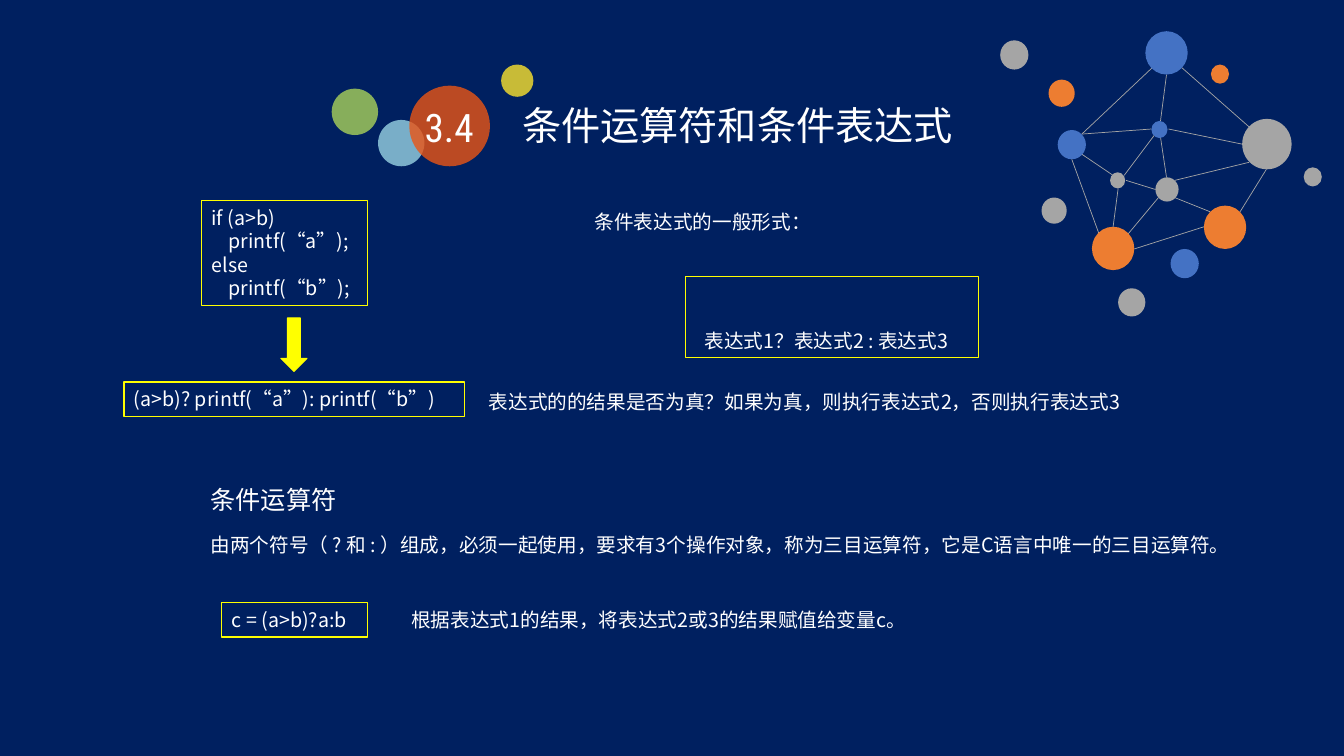
import pptx
import pptx.util
import pptx.dml.color
import pptx.enum.shapes
import pptx.enum.text
import lxml.etree

INK = {"back": "002060", "text": "FFFFFF", "edge": "FFFF00", "blue": "4472C4",
       "orange": "ED7D31", "gray": "A5A5A5", "lemon": "FBE22D",
       "green": "A9D25A", "sky": "98D2E3", "red": "EA5514"}
SANS = "Noto Sans CJK SC"

NOTES = [
    ("条件运算符和条件表达式", 5.08, 0.96, 4.52, 0.57, 28),
    ("条件表达式的一般形式：", 5.8, 2.03, 2.36, 0.34, 14),
    ("表达式的的结果是否为真？如果为真，则执行表达式2，否则执行表达式3",
     4.75, 3.82, 6.66, 0.34, 14),
    ("由两个符号（ ? 和 : ）组成，必须一起使用，要求有3个操作对象，称为三目运算符，它是C语言中唯一的三目运算符。",
     1.99, 5.24, 10.41, 0.34, 14),
    ("条件运算符", 1.99, 4.76, 2.1, 0.4, 18),
    ("根据表达式1的结果，将表达式2或3的结果赋值给变量c。",
     3.98, 5.98, 5.16, 0.34, 14),
]
CODE = [
    (["if (a>b)", "printf(“a”);", "else", "printf(“b”);"], 2, 1.99, 1.65, 1.04),
    (["(a>b)? printf(“a”): printf(“b”)"], 1.23, 3.79, 3.38, 0.34),
    (["c = (a>b)?a:b"], 2.2, 5.98, 1.45, 0.34),
]
FORM = (["表达式1？表达式2 : 表达式3"], 6.8, 2.74, 2.91, 0.81)
BADGE = [("lemon", 4.97, 0.64, 0.32), ("green", 3.29, 0.88, 0.46),
         ("sky", 3.75, 1.19, 0.46), ("red", 4.06, 0.85, 0.8)]
NODES = [
    ("blue", 11.36, 0.31, 0.42), ("orange", 10.83, 2.25, 0.42),
    ("gray", 11.46, 1.76, 0.23), ("blue", 10.49, 1.29, 0.28),
    ("orange", 12.01, 0.64, 0.18), ("gray", 12.32, 1.18, 0.49),
    ("blue", 11.42, 1.2, 0.16), ("orange", 11.94, 2.04, 0.42),
    ("gray", 11.01, 1.71, 0.15), ("blue", 11.61, 2.47, 0.28),
    ("orange", 10.4, 0.79, 0.26), ("gray", 9.92, 0.4, 0.28),
    ("gray", 11.09, 2.86, 0.27), ("gray", 10.33, 1.96, 0.25),
    ("gray", 12.93, 1.66, 0.18),
]
LINKS = [
    (11.72, 0.67, 12.39, 1.26), (11.65, 1.79, 12.39, 1.61),
    (12.3, 2.1, 12.56, 1.68), (11.19, 2.32, 11.49, 1.96),
    (10.73, 1.33, 11.43, 0.67), (11.51, 1.2, 11.57, 0.74),
    (12.32, 1.43, 11.59, 1.28), (11.51, 1.36, 11.57, 1.76),
    (11.65, 1.96, 12, 2.1), (10.73, 1.33, 11.42, 1.28),
    (10.63, 1.58, 10.9, 2.32), (10.73, 1.53, 11.04, 1.74),
    (11.15, 1.74, 11.45, 1.34), (11.17, 1.79, 11.46, 1.88),
    (11.04, 2.25, 11.09, 1.87), (11.25, 2.47, 11.94, 2.25),
]

Inches = pptx.util.Inches
Pt = pptx.util.Pt
KIND = pptx.enum.shapes.MSO_SHAPE
ALIGN = pptx.enum.text.PP_ALIGN
ANCHOR = pptx.enum.text.MSO_ANCHOR
tag = pptx.oxml.ns.qn

deck = pptx.Presentation()
deck.slide_width, deck.slide_height = Inches(13.33), Inches(7.5)
slide = deck.slides.add_slide(deck.slide_layouts[6])
items = slide.shapes


def tint(name):
    return pptx.dml.color.RGBColor.from_string(INK[name])


def paint(fill, name):
    fill.solid()
    fill.fore_color.rgb = tint(name)


def write(shape, lines, size, font=SANS, align=ALIGN.LEFT):
    frame = shape.text_frame
    frame.word_wrap = True
    frame.vertical_anchor = ANCHOR.TOP
    frame.text = "\n".join(lines)
    for para in frame.paragraphs:
        para.alignment = align
        para.line_spacing = Pt(size * 1.2)
        para.font.size = Pt(size)
        para.font.name = font
        para.font.color.rgb = tint("text")
        for run in para.runs:
            east = lxml.etree.SubElement(run.font._element, tag("a:ea"))
            east.set("typeface", font)
    return frame


def draw(kind, x, y, w, h, fill=None, edge=None):
    shape = items.add_shape(kind, *map(Inches, (x, y, w, h)))
    shape.shadow.inherit = False
    if fill:
        paint(shape.fill, fill)
    else:
        shape.fill.background()
    if edge:
        shape.line.color.rgb = tint(edge)
        shape.line.width = Pt(0.75)
    else:
        shape.line.fill.background()
    return shape


def label(lines, x, y, w, h, size, **style):
    box = items.add_textbox(*map(Inches, (x, y, w, h)))
    return write(box, lines, size, **style)


def panel(lines, *place):
    return write(draw(KIND.RECTANGLE, *place, edge="edge"), lines, 14)


paint(slide.background.fill, "back")

for name, x, y, size in BADGE:
    dot = draw(KIND.OVAL, x, y, size, size, name)
    shade = dot.fill._xPr.find(".//" + tag("a:srgbClr"))
    lxml.etree.SubElement(shade, tag("a:alpha")).set("val", "80000")
mark = label(["3.4"], 4.17, 1.03, 0.57, 0.47, 28,
             font="Roboto Condensed", align=ALIGN.CENTER)
mark.margin_left = mark.margin_right = mark.margin_top = mark.margin_bottom = 0

for text, *place in NOTES:
    label([text], *place)
for lines, *place in CODE:
    frame = panel(lines, *place)
    for para in frame.paragraphs[1::2]:
        para._p.get_or_add_pPr().set("marL", str(Inches(0.17)))

lines, *place = FORM
frame = panel(lines, *place)
frame.vertical_anchor = ANCHOR.BOTTOM
frame.paragraphs[0]._p.get_or_add_pPr().set("indent", str(Inches(0.09)))

draw(KIND.RIGHT_ARROW, 2.65, 3.29, 0.53, 0.26, "edge", "edge").rotation = 90

for x1, y1, x2, y2 in LINKS:
    link = items.add_connector(pptx.enum.shapes.MSO_CONNECTOR.STRAIGHT,
                               *map(Inches, (x1, y1, x2, y2)))
    link.line.color.rgb = tint("gray")
    link.line.width = Pt(0.5)
    lxml.etree.SubElement(link._element.spPr, tag("a:effectLst"))
for name, x, y, size in NODES:
    draw(KIND.OVAL, x, y, size, size + 0.01, name)

deck.save("out.pptx")
